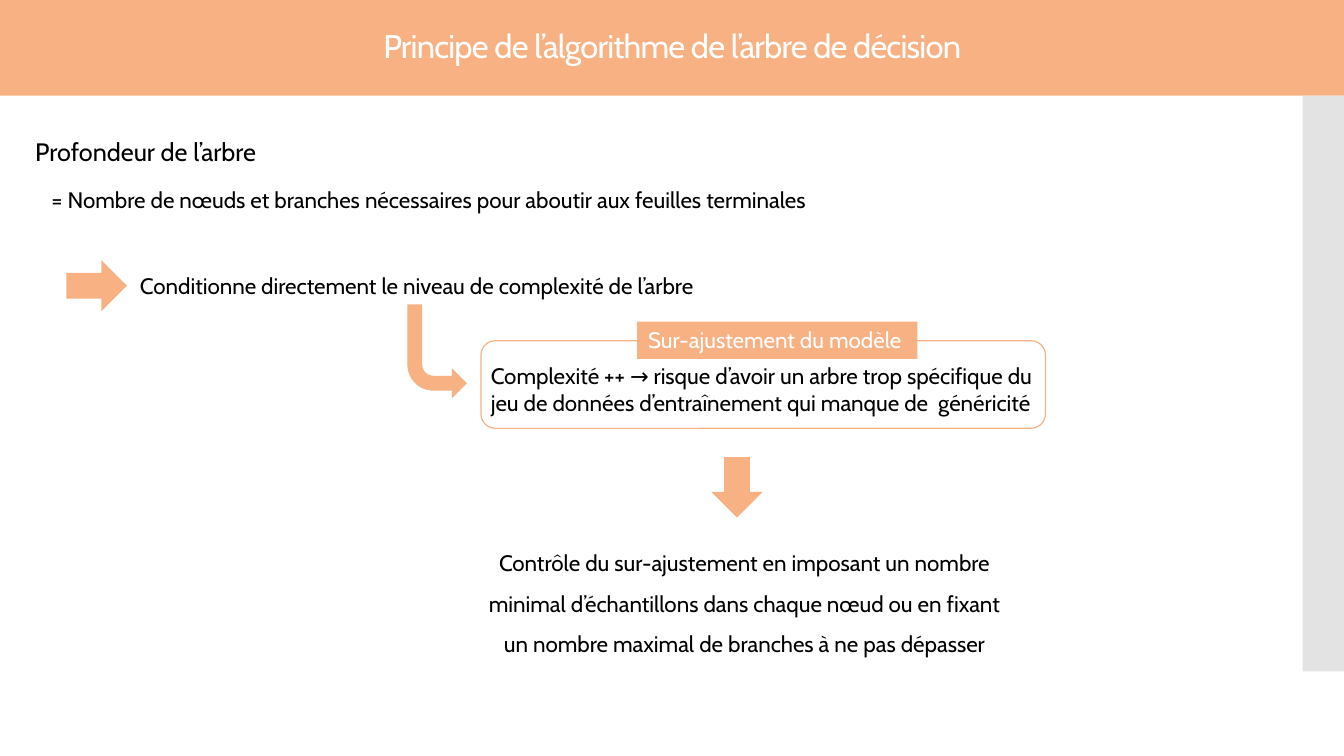
from dataclasses import dataclass

from lxml import etree
from pptx import Presentation
from pptx.dml.color import RGBColor
from pptx.enum.shapes import MSO_SHAPE
from pptx.enum.text import MSO_ANCHOR, MSO_AUTO_SIZE, PP_ALIGN
from pptx.oxml.ns import qn
from pptx.util import Inches, Pt

RECT = MSO_SHAPE.RECTANGLE
ROUND = MSO_SHAPE.ROUNDED_RECTANGLE
ARROW = MSO_SHAPE.RIGHT_ARROW
BENT = MSO_SHAPE.BENT_ARROW
LEFT, CENTER, JUSTIFY = PP_ALIGN.LEFT, PP_ALIGN.CENTER, PP_ALIGN.JUSTIFY
TOP, MIDDLE = MSO_ANCHOR.TOP, MSO_ANCHOR.MIDDLE
FIXED = MSO_AUTO_SIZE.NONE


@dataclass(frozen=True)
class Theme:
    font: str = "Cabin"
    accent: str = "F7B183"
    side: str = "E3E3E3"
    ink: str = "000000"
    light: str = "FFFFFF"
    title: float = 23.4
    head: float = 18
    body: float = 16
    line: float = 0.85


class Page:
    def __init__(self, slide, theme):
        self.slide = slide
        self.theme = theme

    def place(self, item, box):
        item.left, item.top, item.width, item.height = map(Inches, box)

    def paint(self, item, color):
        item.fill.solid()
        item.fill.fore_color.rgb = RGBColor.from_string(color)

    def label(self, item, text, size=None, color=None, align=LEFT,
              anchor=TOP, lines=1.0, before=0):
        frame = item.text_frame
        frame.word_wrap = True
        frame.auto_size = FIXED
        frame.vertical_anchor = anchor
        frame.text = text
        para = frame.paragraphs[0]
        para.alignment = align
        para.line_spacing = lines
        para.space_before = Pt(before)
        font = para.font
        font.name = self.theme.font
        font.size = Pt(size or self.theme.body)
        font.color.rgb = RGBColor.from_string(color or self.theme.ink)
        return para

    def title(self, text, box):
        item = self.slide.shapes.title
        self.place(item, box)
        self.paint(item, self.theme.accent)
        para = self.label(item, text, self.theme.title, self.theme.light,
                          CENTER, MIDDLE, 0.9)
        para.runs[0]._r.get_or_add_rPr().set("spc", "-60")

    def body(self, text, box, **style):
        item = self.slide.placeholders[1]
        self.place(item, box)
        props = self.label(item, text, **style)._p.get_or_add_pPr()
        props.set("marL", "0")
        props.set("indent", "0")
        mark = etree.Element(qn("a:buNone"))
        props.find(qn("a:defRPr")).addprevious(mark)

    def text(self, text, box, **style):
        item = self.slide.shapes.add_textbox(*map(Inches, box))
        self.label(item, text, **style)

    def shape(self, kind, box, fill=None, turn=0, flip=False):
        item = self.slide.shapes.add_shape(kind, *map(Inches, box))
        item.shadow.inherit = False
        item.rotation = turn
        if flip:
            item._element.spPr.find(qn("a:xfrm")).set("flipV", "1")
        if fill:
            self.paint(item, fill)
            item.line.fill.background()
        else:
            item.fill.background()
            item.line.color.rgb = RGBColor.from_string(self.theme.accent)
            item.line.width = Pt(self.theme.line)
        return item


def main():
    deck = Presentation()
    deck.slide_width, deck.slide_height = Inches(13.33), Inches(7.5)
    theme = Theme()
    page = Page(deck.slides.add_slide(deck.slide_layouts[1]), theme)

    page.title("Principe de l’algorithme de l’arbre de décision",
               (0, 0, 13.33, 0.95))
    page.shape(RECT, (12.92, 0.95, 0.41, 5.71), theme.side)
    page.text("Profondeur de l’arbre", (0.25, 1.3, 2.98, 0.4),
              size=theme.head)
    page.body("= Nombre de nœuds et branches nécessaires pour aboutir "
              "aux feuilles terminales", (0.41, 1.66, 11.66, 1.13),
              align=JUSTIFY, lines=1.5, before=12)

    page.shape(ARROW, (0.66, 2.58, 0.6, 0.51), theme.accent)
    page.text("Conditionne directement le niveau de complexité de l’arbre",
              (1.29, 2.65, 10.23, 0.91))
    page.shape(BENT, (4.04, 3.02, 0.59, 0.93), theme.accent, flip=True)

    page.text("Complexité ++ → risque d’avoir un arbre trop spécifique du "
              "jeu de données d’entraînement qui manque de  généricité",
              (4.77, 3.54, 5.83, 0.64))
    page.shape(ROUND, (4.77, 3.38, 5.6, 0.87))
    banner = page.shape(RECT, (6.32, 3.19, 2.78, 0.37), theme.accent)
    page.label(banner, "Sur-ajustement du modèle ", color=theme.light,
               align=CENTER)

    page.shape(ARROW, (7.01, 4.58, 0.6, 0.51), theme.accent, turn=90)
    page.text("Contrôle du sur-ajustement en imposant un nombre minimal "
              "d’échantillons dans chaque nœud ou en fixant un nombre "
              "maximal de branches à ne pas dépasser",
              (4.63, 5.27, 5.51, 1.27), align=CENTER, lines=1.5, before=12)
    deck.save("out.pptx")


if __name__ == "__main__":
    main()
